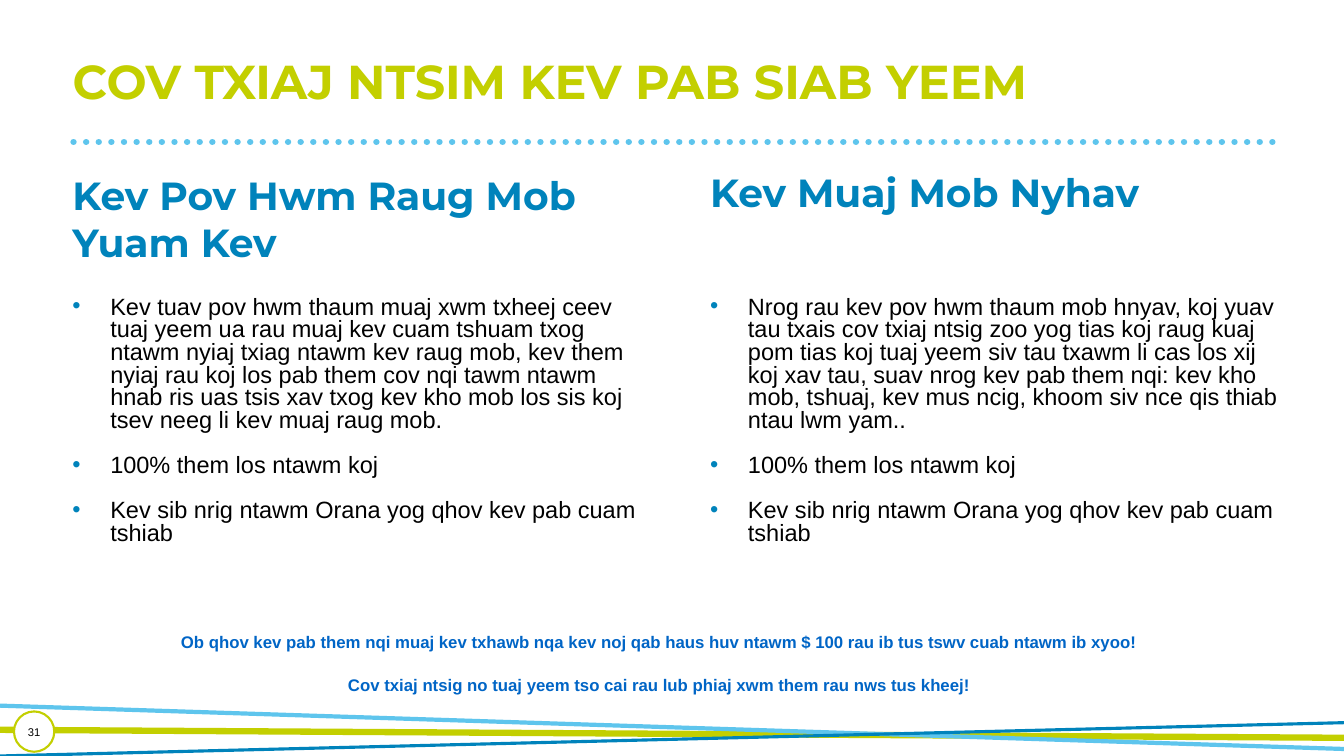
"""Build the two-column slide comparing accident and critical illness cover."""
from lxml.etree import SubElement
from pptx import Presentation
from pptx.dml.color import RGBColor
from pptx.enum.dml import MSO_LINE
from pptx.enum.shapes import MSO_CONNECTOR, MSO_SHAPE
from pptx.enum.text import MSO_ANCHOR, PP_ALIGN
from pptx.oxml.ns import qn
from pptx.util import Pt

COLORS = {"lime": "C3CF00", "sky": "5EC5ED", "blue": "0083BB",
          "note": "0065C6", "black": "000000", "white": "FFFFFF"}

prs = Presentation()
prs.slide_width, prs.slide_height = Pt(960), Pt(540)
slide = prs.slides.add_slide(prs.slide_layouts[6])


def rgb(name):
    return RGBColor.from_string(COLORS[name])


def write(frame, texts, font, size, color, bold=False, align=PP_ALIGN.LEFT,
          spacing=1.0, bullet=False):
    frame.word_wrap = True
    for i, text in enumerate(texts):
        para = frame.paragraphs[0] if i == 0 else frame.add_paragraph()
        para.text = text
        para.alignment = align
        para.line_spacing = spacing
        para.space_before = Pt(10 if i else 0)
        para.space_after = Pt(6 if len(texts) > 1 else 0)
        if bullet:
            props = para._p.get_or_add_pPr()
            props.set("marL", str(Pt(27)))
            props.set("indent", str(Pt(-27)))
            SubElement(SubElement(props, qn("a:buClr")), qn("a:srgbClr"), val=COLORS["blue"])
            SubElement(props, qn("a:buFont"), typeface="Arial")
            SubElement(props, qn("a:buChar"), char="•")
        para.font.name, para.font.size, para.font.bold = font, Pt(size), bold
        para.font.color.rgb = rgb(color)


rules = [
    (52.5, 101.4, 911.5, 101.4, "sky", 4.5, True),
    (-0.7, 521.3, 960, 527, "lime", 4.5, False),
    (960, 535, -0.7, 504, "sky", 3, False),
    (-0.7, 540, 960, 516.2, "blue", 2.25, False),
]
for x1, y1, x2, y2, color, width, dotted in rules:
    rule = slide.shapes.add_connector(MSO_CONNECTOR.STRAIGHT, Pt(x1), Pt(y1), Pt(x2), Pt(y2))
    rule.line.color.rgb = rgb(color)
    rule.line.width = Pt(width)
    if dotted:
        rule.line.dash_style = MSO_LINE.ROUND_DOT
        rule.get_or_add_ln().set("cap", "rnd")
    SubElement(rule._element.spPr, qn("a:effectLst"))

title = slide.shapes.add_textbox(Pt(44.7), Pt(38), Pt(866), Pt(57))
write(title.text_frame, ["COV TXIAJ NTSIM KEV PAB SIAB YEEM"],
      "Montserrat", 34, "lime", bold=True, spacing=0.9)

shared_points = ["100% them los ntawm koj",
                 "Kev sib nrig ntawm Orana yog qhov kev pab cuam tshiab"]
benefits = [
    (44.7, 118.8, "Kev Pov Hwm Raug Mob Yuam Kev",
     "Kev tuav pov hwm thaum muaj xwm txheej ceev tuaj yeem ua rau muaj kev cuam "
     "tshuam txog ntawm nyiaj txiag ntawm kev raug mob, kev them nyiaj rau koj los "
     "pab them cov nqi tawm ntawm hnab ris uas tsis xav txog kev kho mob los sis koj "
     "tsev neeg li kev muaj raug mob."),
    (500.2, 116.6, "Kev Muaj Mob Nyhav",
     "Nrog rau kev pov hwm thaum mob hnyav, koj yuav tau txais cov txiaj ntsig zoo "
     "yog tias koj raug kuaj pom tias koj tuaj yeem siv tau txawm li cas los xij koj "
     "xav tau, suav nrog kev pab them nqi: kev kho mob, tshuaj, kev mus ncig, khoom "
     "siv nce qis thiab ntau lwm yam.."),
]
for left, heading_top, heading_text, description in benefits:
    heading = slide.shapes.add_textbox(Pt(left), Pt(heading_top), Pt(410.4), Pt(52.6))
    write(heading.text_frame, [heading_text], "Montserrat", 28, "blue", bold=True)
    points = slide.shapes.add_textbox(Pt(left), Pt(208.8), Pt(422.6), Pt(214))
    write(points.text_frame, [description] + shared_points,
          "Arial", 16.8, "black", spacing=0.8, bullet=True)

page_badge = slide.shapes.add_shape(MSO_SHAPE.OVAL, Pt(10), Pt(508.2), Pt(28.8), Pt(28.8))
page_badge.shadow.inherit = False
page_badge.fill.solid()
page_badge.fill.fore_color.rgb = rgb("white")
page_badge.line.color.rgb = rgb("lime")
page_badge.line.width = Pt(1.5)
number = page_badge.text_frame
number.margin_left = number.margin_right = number.margin_top = number.margin_bottom = 0
number.vertical_anchor = MSO_ANCHOR.MIDDLE
write(number, ["31"], "Arial", 8, "black", align=PP_ALIGN.CENTER)

footnote = slide.shapes.add_textbox(Pt(79.9), Pt(447.8), Pt(782), Pt(52.6))
write(footnote.text_frame,
      ["Ob qhov kev pab them nqi muaj kev txhawb nqa kev noj qab haus huv ntawm "
       "$ 100 rau ib tus tswv cuab ntawm ib xyoo!",
       "Cov txiaj ntsig no tuaj yeem tso cai rau lub phiaj xwm them rau nws tus kheej!"],
      "Arial", 12, "note", bold=True, align=PP_ALIGN.CENTER)

prs.save("out.pptx")
